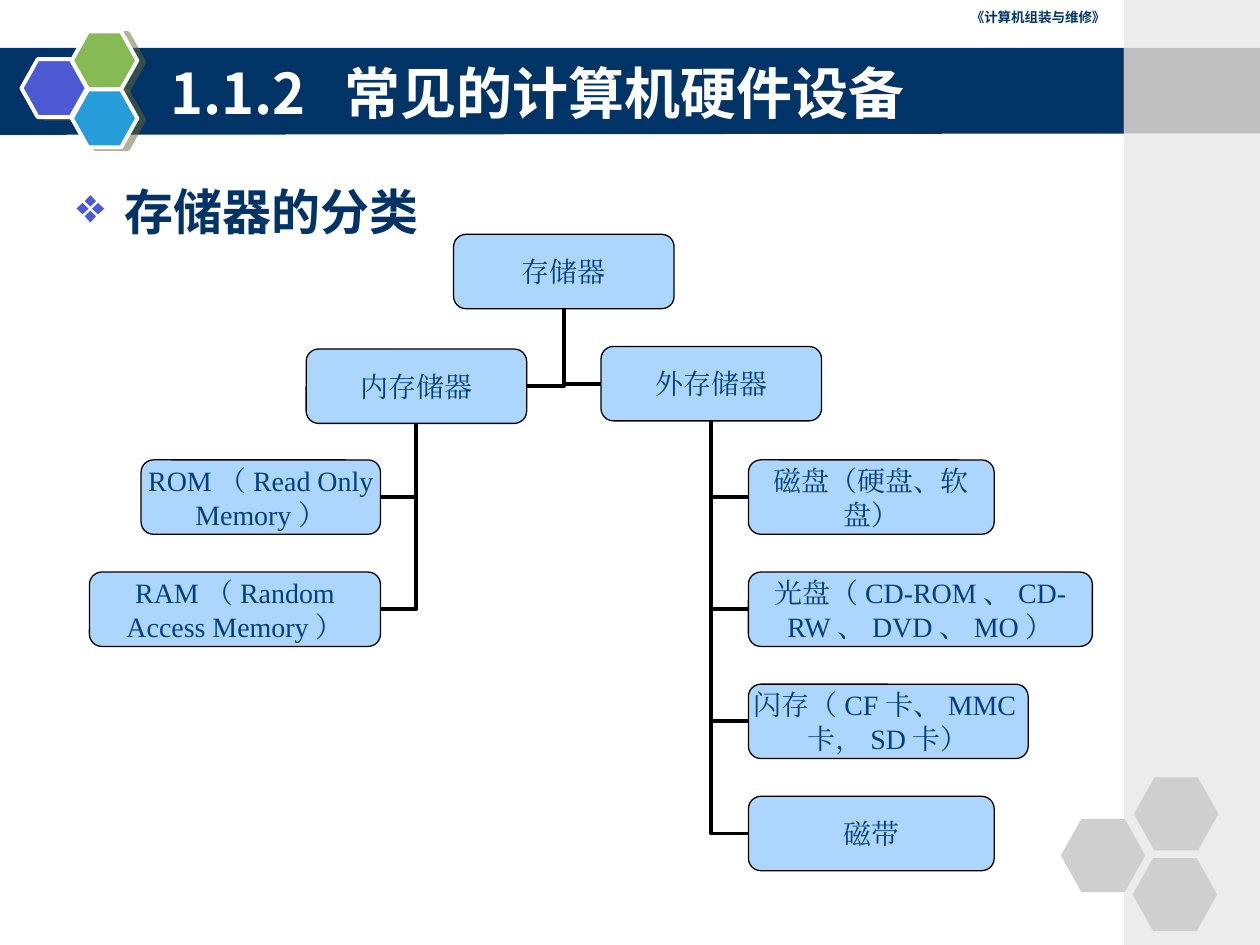
from lxml import etree
from pptx import Presentation
from pptx.dml.color import RGBColor
from pptx.enum.shapes import MSO_CONNECTOR, MSO_SHAPE
from pptx.enum.text import MSO_ANCHOR, PP_ALIGN
from pptx.oxml import parse_xml
from pptx.oxml.ns import nsdecls, qn
from pptx.util import Inches, Pt

RECT, ROUND, HEXAGON = MSO_SHAPE.RECTANGLE, MSO_SHAPE.ROUNDED_RECTANGLE, MSO_SHAPE.HEXAGON
ELBOW = MSO_CONNECTOR.ELBOW
LEFT, CENTER, RIGHT = PP_ALIGN.LEFT, PP_ALIGN.CENTER, PP_ALIGN.RIGHT
TOP, MIDDLE = MSO_ANCHOR.TOP, MSO_ANCHOR.MIDDLE
SIDE_LEFT, SIDE_BOTTOM, SIDE_RIGHT = 1, 2, 3

NAVY, WHITE, BLACK, INDIGO = "003366", "FFFFFF", "000000", "4C59D2"
SANS = "Noto Sans CJK SC"
TITLE = {"name": SANS, "size": Pt(32), "bold": True}
HEADING = {"name": SANS, "size": Pt(28), "bold": True}
HEADER = {"name": "DejaVu Sans", "size": Pt(7.7), "bold": True}
NODE = {"name": "Times New Roman", "size": Pt(16), "bold": False}


def rgb(color):
    return RGBColor.from_string(color)


class Deck:
    node_fill, node_text, node_height = "ADD6FF", "003F80", 0.59

    def __init__(self, prs):
        self.s = prs.slides.add_slide(prs.slide_layouts[5])
        self.shapes = self.s.shapes

    def paint(self, sp, fill, line=None, width=0.75):
        sp.shadow.inherit = False
        sp.fill.solid()
        sp.fill.fore_color.rgb = rgb(fill)
        if line:
            sp.line.color.rgb = rgb(line)
            sp.line.width = Pt(width)
        else:
            sp.line.fill.background()

    def shape(self, kind, x, y, w, h, fill, line=None, width=0.75):
        sp = self.shapes.add_shape(kind, Inches(x), Inches(y), Inches(w), Inches(h))
        self.paint(sp, fill, line, width)
        return sp

    def hexagon(self, x, y, w, h, fill, line=None):
        sp = self.shape(HEXAGON, x, y, w, h, fill, line, 2.25)
        sp.adjustments[0] = 0.28
        return sp

    def drop_shadow(self, sp):
        effects = sp._element.spPr.find(qn("a:effectLst"))
        effects.append(parse_xml(
            f'<a:outerShdw {nsdecls("a")} blurRad="0" dist="52000" dir="840000" '
            'algn="ctr" rotWithShape="0"><a:srgbClr val="666633">'
            '<a:alpha val="50000"/></a:srgbClr></a:outerShdw>'))

    def band(self, points, fill):
        (x, y), *rest = [(Inches(px), Inches(py)) for px, py in points]
        builder = self.shapes.build_freeform(x, y)
        builder.add_line_segments(rest, close=True)
        self.paint(builder.convert_to_shape(), fill)

    def set_text(self, sp, text, style, color, align=LEFT, anchor=TOP, insets=(0.1, 0.05)):
        tf = sp.text_frame
        side, end = map(Inches, insets)
        layout = {"word_wrap": True, "vertical_anchor": anchor, "margin_left": side,
                  "margin_right": side, "margin_top": end, "margin_bottom": end}
        for key, value in layout.items():
            setattr(tf, key, value)
        p = tf.paragraphs[0]
        p.alignment = align
        r = p.add_run()
        r.text = text
        for key, value in style.items():
            setattr(r.font, key, value)
        r.font.color.rgb = rgb(color)
        ea = etree.SubElement(r._r.get_or_add_rPr(), qn("a:ea"))
        ea.set("typeface", style["name"])
        return p

    def title(self, text, x, y, w, h):
        sp = self.shapes.title
        sp.left, sp.top, sp.width, sp.height = map(Inches, (x, y, w, h))
        self.shapes._spTree.append(sp._element)  # bring in front of the band
        self.set_text(sp, text, TITLE, WHITE, anchor=MIDDLE)

    def text(self, text, x, y, w, h, style, color, align=LEFT):
        sp = self.shapes.add_textbox(Inches(x), Inches(y), Inches(w), Inches(h))
        return self.set_text(sp, text, style, color, align)

    def bullet(self, p, char, color, indent):
        pPr = p._p.get_or_add_pPr()
        pPr.set("marL", str(Inches(indent)))
        pPr.set("indent", str(-Inches(indent)))
        pPr.append(parse_xml(f'<a:buClr {nsdecls("a")}><a:srgbClr val="{color}"/></a:buClr>'))
        pPr.append(parse_xml(f'<a:buChar {nsdecls("a")} char="{char}"/>'))

    def node(self, text, x, y, w):
        sp = self.shape(ROUND, x, y, w, self.node_height, self.node_fill, BLACK)
        self.set_text(sp, text, NODE, self.node_text, CENTER, MIDDLE, (0, 0))
        return sp

    def branch(self, child, side, parent):
        c = self.shapes.add_connector(ELBOW, 0, 0, 0, 0)
        c.begin_connect(child, side)
        c.end_connect(parent, SIDE_BOTTOM)
        c.line.color.rgb = rgb(BLACK)
        c.line.width = Pt(2.25)
        spPr = c._element.spPr
        spPr.find(qn("a:prstGeom")).set("prst", "bentConnector2")  # one corner
        etree.SubElement(spPr, qn("a:effectLst"))


def main():
    prs = Presentation()
    prs.slide_width, prs.slide_height = Inches(10), Inches(7.5)
    deck = Deck(prs)

    # Title band with hexagon emblem
    deck.band([(-0.03, 0.38), (8.94, 0.38), (8.93, 1.06), (-0.03, 1.07)], NAVY)
    for x, y, fill in [(0.17, 0.47, INDIGO), (0.57, 0.25, "85BA54"), (0.57, 0.71, "269DD8")]:
        deck.drop_shadow(deck.hexagon(x, y, 0.52, 0.46, fill, WHITE))

    # Right margin and grey hexagons
    deck.shape(RECT, 8.92, 0, 1.08, 7.5, "ECECEC")
    deck.shape(RECT, 8.92, 0.38, 1.08, 0.68, "C0C0C0")
    for x, y in [(8.42, 6.5), (9, 6.17), (8.99, 6.81)]:
        deck.hexagon(x, y, 0.67, 0.58, "CFCFCF")

    # Title, heading and running header
    deck.title("1.1.2  常见的计算机硬件设备", 1.25, 0.42, 7.42, 0.62)
    heading = deck.text("存储器的分类", 0.51, 1.39, 8.35, 5.53, HEADING, NAVY)
    deck.bullet(heading, "❖", INDIGO, 0.38)
    header = deck.text("《计算机组装与维修》", 5.47, 0.05, 3.4, 0.24, HEADER, NAVY, RIGHT)
    header.line_spacing = 0.8

    # Tree of storage types: each branch has its leaves on its outer side
    root = deck.node("存储器", 3.6, 1.86, 1.75)
    branches = [
        ("内存储器", 2.43, 2.77, SIDE_RIGHT, [
            ("ROM（Read Only Memory）", 1.9),
            ("RAM（Random Access Memory）", 2.31)]),
        ("外存储器", 4.77, 2.75, SIDE_LEFT, [
            ("磁盘（硬盘、软盘）", 1.95),
            ("光盘（CD-ROM、CD-RW、DVD、MO）", 2.73),
            ("闪存（CF卡、MMC卡，SD卡）", 2.22),
            ("磁带", 1.95)]),
    ]
    leaf_top, leaf_step, inner_right, outer_left = 3.65, 0.89, 3.02, 5.94
    for name, x, y, side, leaves in branches:
        parent = deck.node(name, x, y, 1.75)
        deck.branch(parent, side, root)
        for i, (text, width) in enumerate(leaves):
            left = outer_left if side == SIDE_LEFT else inner_right - width
            leaf = deck.node(text, left, leaf_top + i * leaf_step, width)
            deck.branch(leaf, side, parent)

    prs.save("out.pptx")


if __name__ == "__main__":
    main()
